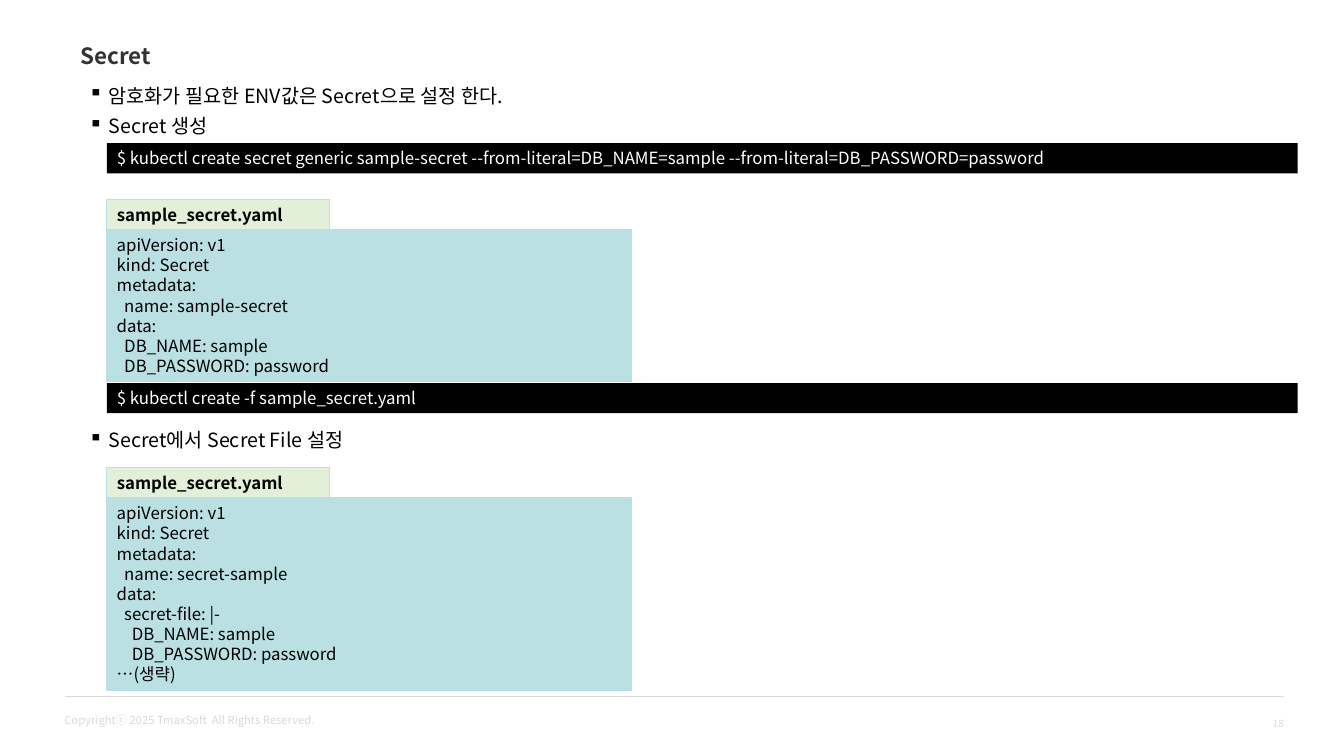
from pptx import Presentation
from pptx.dml.color import RGBColor
from pptx.enum.shapes import MSO_CONNECTOR, MSO_SHAPE
from pptx.enum.text import MSO_ANCHOR, PP_ALIGN
from pptx.oxml.ns import qn
from pptx.util import Inches, Pt
from lxml.etree import SubElement

FONT = "Noto Sans CJK KR"
COLORS = {
    "title": "333333",
    "text": "000000",
    "terminal": "000000",
    "command": "FFFFFF",
    "code": "BBE0E3",
    "tab": "E2F0D9",
    "rule": "DBDBDB",
    "footer": "D9D9D9",
}
WIDTH, HEIGHT = 13.33, 7.5
CODE_LEFT, CODE_WIDTH = 1.06, 5.2
TERMINAL_WIDTH = 11.81
TAB_WIDTH, ROW = 2.21, 0.3
LINE = 0.2
BULLET_LEFT, BULLET_WIDTH = 0.78, 10.78

SECRET_YAML = [
    "apiVersion: v1",
    "kind: Secret",
    "metadata:",
    "  name: sample-secret",
    "data:",
    "  DB_NAME: sample",
    "  DB_PASSWORD: password",
]
SECRET_FILE_YAML = [
    "apiVersion: v1",
    "kind: Secret",
    "metadata:",
    "  name: secret-sample",
    "data:",
    "  secret-file: |-",
    "    DB_NAME: sample",
    "    DB_PASSWORD: password",
    "…(생략)",
]


def rgb(color):
    return RGBColor.from_string(COLORS[color])


def write(holder, lines, size, color, bold=False, align=PP_ALIGN.LEFT):
    frame = holder.text_frame
    frame.text = "\n".join(lines)
    for paragraph in frame.paragraphs:
        paragraph.alignment = align
        for run in paragraph.runs:
            run.font.name = FONT
            run.font.size = Pt(size)
            run.font.bold = bold
            run.font.color.rgb = rgb(color)
            SubElement(run.font._element, qn("a:ea")).set("typeface", FONT)
    return frame


def add_label(slide, box, lines, size, color, bold=False, align=PP_ALIGN.LEFT):
    label = slide.shapes.add_textbox(*map(Inches, box))
    frame = write(label, lines, size, color, bold, align)
    frame.word_wrap = True
    return frame


def add_panel(slide, box, lines, fill, color="text", border=None, bold=False):
    panel = slide.shapes.add_shape(MSO_SHAPE.RECTANGLE, *map(Inches, box))
    panel.shadow.inherit = False
    panel.fill.solid()
    panel.fill.fore_color.rgb = rgb(fill)
    if border:
        panel.line.color.rgb = rgb(border)
        panel.line.width = Pt(0.75)
    else:
        panel.line.fill.background()
    frame = write(panel, lines, 12, color, bold)
    frame.word_wrap = True
    frame.vertical_anchor = MSO_ANCHOR.TOP


def add_bullets(slide, top, height, lines):
    frame = add_label(slide, (BULLET_LEFT, top, BULLET_WIDTH, height), lines, 14, "text")
    for index, paragraph in enumerate(frame.paragraphs):
        if index:
            paragraph.space_before = Pt(5)
        properties = paragraph._p.get_or_add_pPr()
        properties.set("marL", str(Inches(0.2)))
        properties.set("indent", str(-Inches(0.2)))
        SubElement(properties, qn("a:buChar")).set("char", "▪")


def add_terminal(slide, top, command):
    add_panel(slide, (CODE_LEFT, top, TERMINAL_WIDTH, ROW), [command], "terminal", "command")


def add_yaml(slide, top, filename, lines):
    code_height = 0.1 + LINE * len(lines) + 0.01
    add_panel(slide, (CODE_LEFT, top + ROW, CODE_WIDTH, code_height), lines, "code", border="code")
    add_panel(slide, (CODE_LEFT, top, TAB_WIDTH, ROW), [filename], "tab", border="code", bold=True)


def add_footer(slide, left, top, right):
    rule = slide.shapes.add_connector(
        MSO_CONNECTOR.STRAIGHT, Inches(left), Inches(top), Inches(right), Inches(top)
    )
    rule.line.color.rgb = rgb("rule")
    rule.line.width = Pt(0.5)
    SubElement(rule._element.spPr, qn("a:effectLst"))
    copyright_line = add_label(
        slide, (left - 0.1, top + 0.12, 2.7, 0.24),
        ["Copyrightⓒ 2025 TmaxSoft  All Rights Reserved."], 8, "footer",
    )
    copyright_line.word_wrap = False
    page_number = add_label(
        slide, (right - 0.95, 6.85, 1.05, 0.65), ["18"], 7, "footer", align=PP_ALIGN.RIGHT
    )
    page_number.vertical_anchor = MSO_ANCHOR.MIDDLE


def build_secret_slide(presentation):
    slide = presentation.slides.add_slide(presentation.slide_layouts[6])
    add_footer(slide, 0.64, 6.91, 12.73)
    add_label(slide, (0.7, 0.37, 5.73, 0.37), ["Secret"], 16, "title", bold=True)
    add_bullets(slide, 0.78, 0.64, ["암호화가 필요한 ENV값은 Secret으로 설정 한다.", "Secret 생성"])
    add_terminal(
        slide, 1.42,
        "$ kubectl create secret generic sample-secret "
        "--from-literal=DB_NAME=sample --from-literal=DB_PASSWORD=password",
    )
    add_yaml(slide, 1.98, "sample_secret.yaml", SECRET_YAML)
    add_terminal(slide, 3.8, "$ kubectl create -f sample_secret.yaml")
    add_bullets(slide, 4.2, 0.34, ["Secret에서 Secret File 설정"])
    add_yaml(slide, 4.64, "sample_secret.yaml", SECRET_FILE_YAML)


def main():
    presentation = Presentation()
    presentation.slide_width = Inches(WIDTH)
    presentation.slide_height = Inches(HEIGHT)
    build_secret_slide(presentation)
    presentation.save("out.pptx")


if __name__ == "__main__":
    main()
